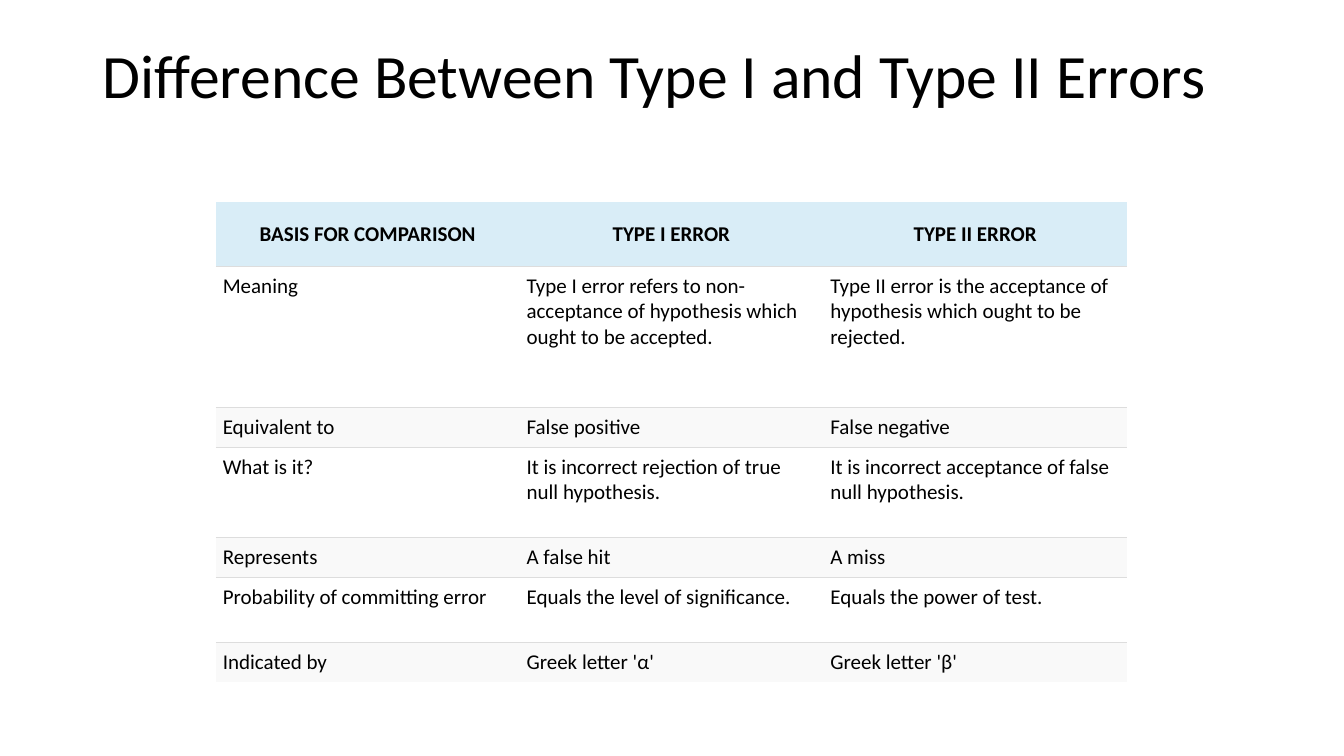
from lxml.etree import SubElement
from pptx import Presentation
from pptx.dml.color import RGBColor
from pptx.enum.text import MSO_ANCHOR, PP_ALIGN
from pptx.oxml import parse_xml
from pptx.oxml.ns import nsdecls, qn
from pptx.util import Inches, Pt

COLORS = {"text": "000000", "header": "D9EDF7", "plain": "FFFFFF",
          "band": "F9F9F9", "rule": "DDDDDD"}
FONT = "Calibri"
NO_GRID_STYLE = "{2D5ABB26-0587-4C30-8999-92F81FD0307C}"
ROWS = [
    ("BASIS FOR COMPARISON", "TYPE I ERROR", "TYPE II ERROR"),
    ("Meaning",
     "Type I error refers to non-acceptance of hypothesis which ought to be accepted.",
     "Type II error is the acceptance of hypothesis which ought to be rejected."),
    ("Equivalent to", "False positive", "False negative"),
    ("What is it?",
     "It is incorrect rejection of true null hypothesis.",
     "It is incorrect acceptance of false null hypothesis."),
    ("Represents", "A false hit", "A miss"),
    ("Probability of committing error",
     "Equals the level of significance.", "Equals the power of test."),
    ("Indicated by", "Greek letter 'α'", "Greek letter 'β'"),
]
ROW_HEIGHTS = [0.64, 1.4, 0.39, 0.9, 0.39, 0.64, 0.39]


def style_font(font, size, bold=False):
    font.name, font.size, font.bold = FONT, Pt(size), bold
    font.color.rgb = RGBColor.from_string(COLORS["text"])


def add_title(page, box, text):
    title = page.shapes.title
    title.left, title.top, title.width, title.height = map(Inches, box)
    frame = title.text_frame
    frame.text = text
    frame.word_wrap = True
    frame.vertical_anchor = MSO_ANCHOR.TOP
    para = frame.paragraphs[0]
    para.alignment = PP_ALIGN.LEFT
    para.line_spacing = 0.9
    style_font(para.font, 44)


def add_rule(cell, side):
    line = parse_xml(f'<a:{side} {nsdecls("a")} w="{Pt(0.75)}"/>')
    fill = SubElement(line, qn("a:solidFill"))
    SubElement(fill, qn("a:srgbClr"), val=COLORS["rule"])
    cell._tc.get_or_add_tcPr().insert(0, line)


def fill_cell(cell, text, row_index):
    is_header = row_index == 0
    cell.text = text
    cell.margin_left = cell.margin_right = Inches(0.07)
    cell.margin_top = cell.margin_bottom = Inches(0.07)
    cell.vertical_anchor = MSO_ANCHOR.MIDDLE if is_header else MSO_ANCHOR.TOP
    para = cell.text_frame.paragraphs[0]
    para.alignment = PP_ALIGN.CENTER if is_header else PP_ALIGN.LEFT
    style_font(para.font, 15, is_header)
    shade = "header" if is_header else "plain" if row_index % 2 else "band"
    cell.fill.solid()
    cell.fill.fore_color.rgb = RGBColor.from_string(COLORS[shade])
    if row_index < len(ROWS) - 1:
        add_rule(cell, "lnB")
    if not is_header:
        add_rule(cell, "lnT")


def add_comparison(page, box):
    frame = page.shapes.add_table(len(ROWS), len(ROWS[0]), *map(Inches, box))
    table = frame.table
    table.first_row = table.horz_banding = False
    table._tbl.tblPr.find(qn("a:tableStyleId")).text = NO_GRID_STYLE
    for column in table.columns:
        column.width = Inches(box[2] / len(ROWS[0]))
    for row_index, (texts, height) in enumerate(zip(ROWS, ROW_HEIGHTS)):
        table.rows[row_index].height = Inches(height)
        for column_index, text in enumerate(texts):
            fill_cell(table.cell(row_index, column_index), text, row_index)


deck = Presentation()
deck.slide_width, deck.slide_height = Inches(13.33), Inches(7.5)
page = deck.slides.add_slide(deck.slide_layouts[5])
add_title(page, (0.92, 0.4, 11.5, 1.45), "Difference Between Type I and Type II Errors")
add_comparison(page, (2.14, 2, 9.04, sum(ROW_HEIGHTS)))
deck.save("out.pptx")
